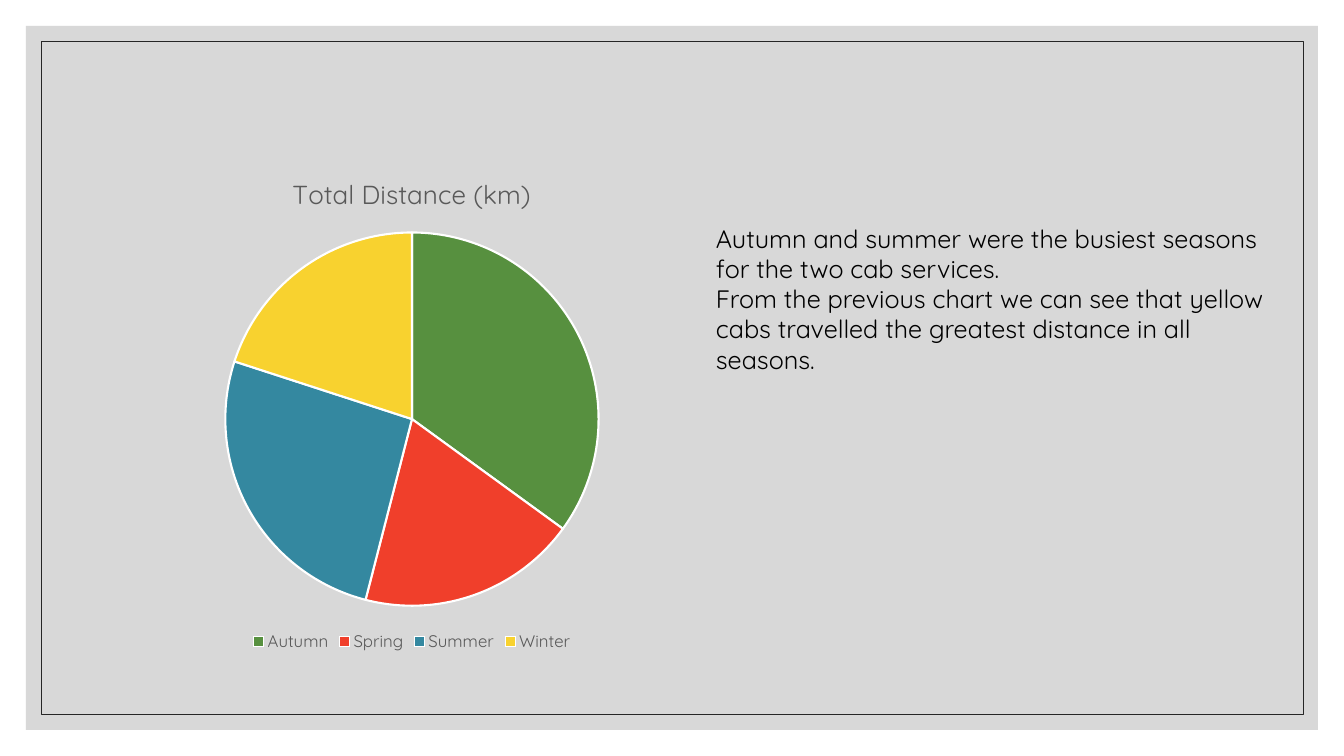
from lxml import etree
from pptx import Presentation
from pptx.chart.data import CategoryChartData
from pptx.dml.color import RGBColor
from pptx.enum.chart import XL_CHART_TYPE, XL_LEGEND_POSITION
from pptx.enum.shapes import MSO_SHAPE
from pptx.enum.text import MSO_AUTO_SIZE
from pptx.oxml.ns import qn
from pptx.util import Pt

PIE = XL_CHART_TYPE.PIE
BOTTOM = XL_LEGEND_POSITION.BOTTOM
RECT = MSO_SHAPE.RECTANGLE
FIT_SHAPE = MSO_AUTO_SIZE.SHAPE_TO_FIT_TEXT

FONT = "Quicksand"
COLORS = {
    "white": "FFFFFF",
    "panel": "BFBFBF",
    "frame": "262626",
    "text": "000000",
    "muted": "595959",
}
SEASONS = {
    "Autumn": (35, "57903F"),
    "Spring": (19, "F03F2B"),
    "Summer": (26, "3488A0"),
    "Winter": (20, "F8D22F"),
}
FINDINGS = [
    "Autumn and summer were the busiest seasons",
    "for the two cab services.",
    "From the previous chart we can see that yellow",
    "cabs travelled the greatest distance in all",
    "seasons.",
]


def box(*lengths):
    """Turn px lengths into EMU at 100.8 px to the inch."""
    return [round(n * 914400 / 100.8) for n in lengths]


def set_font(font, size, color):
    font.name = FONT
    font.size = Pt(size)
    font.bold = False
    font.color.rgb = RGBColor.from_string(COLORS[color])


prs = Presentation()
prs.slide_width, prs.slide_height = box(1344, 756)
s = prs.slides.add_slide(prs.slide_layouts[6])

# Translucent panel and thin frame
panel = s.shapes.add_shape(RECT, *box(26, 26, 1292, 704))
panel.shadow.inherit = False
panel.fill.solid()
panel.fill.fore_color.rgb = RGBColor.from_string(COLORS["panel"])
panel.line.fill.background()
panel_color = panel.fill._xPr.find(qn("a:solidFill"))[0]
etree.SubElement(panel_color, qn("a:alpha"), val="60000")

frame = s.shapes.add_shape(RECT, *box(41, 41, 1262, 673))
frame.shadow.inherit = False
frame.fill.background()
frame.line.color.rgb = RGBColor.from_string(COLORS["frame"])
frame.line.width = Pt(0.5)

# Distance by season
data = CategoryChartData()
data.categories = list(SEASONS)
data.add_series("Total Distance (km)", [value for value, _ in SEASONS.values()])
chart = s.shapes.add_chart(PIE, *box(118, 155, 588, 501), data).chart
set_font(chart.font, 10, "text")

chart.has_title = True
tf = chart.chart_title.text_frame
tf.text = "Total Distance (km)"
set_font(tf.paragraphs[0].font, 18.6, "muted")
chart.chart_title.include_in_layout = False

chart.has_legend = True
chart.legend.position = BOTTOM
chart.legend.include_in_layout = False
set_font(chart.legend.font, 12, "muted")

plot = chart.plots[0]
plot.vary_by_categories = True
for i, (_, color) in enumerate(SEASONS.values()):
    slice_format = plot.series[0].points[i].format
    slice_format.fill.solid()
    slice_format.fill.fore_color.rgb = RGBColor.from_string(color)
    slice_format.line.color.rgb = RGBColor.from_string(COLORS["white"])
    slice_format.line.width = Pt(1.5)

# Findings
tf = s.shapes.add_textbox(*box(706, 218, 605, 163)).text_frame
tf.word_wrap = False
tf.auto_size = FIT_SHAPE
for i, line in enumerate(FINDINGS):
    p = tf.add_paragraph() if i else tf.paragraphs[0]
    p.text = line
    set_font(p.font, 18, "text")

prs.save("out.pptx")
